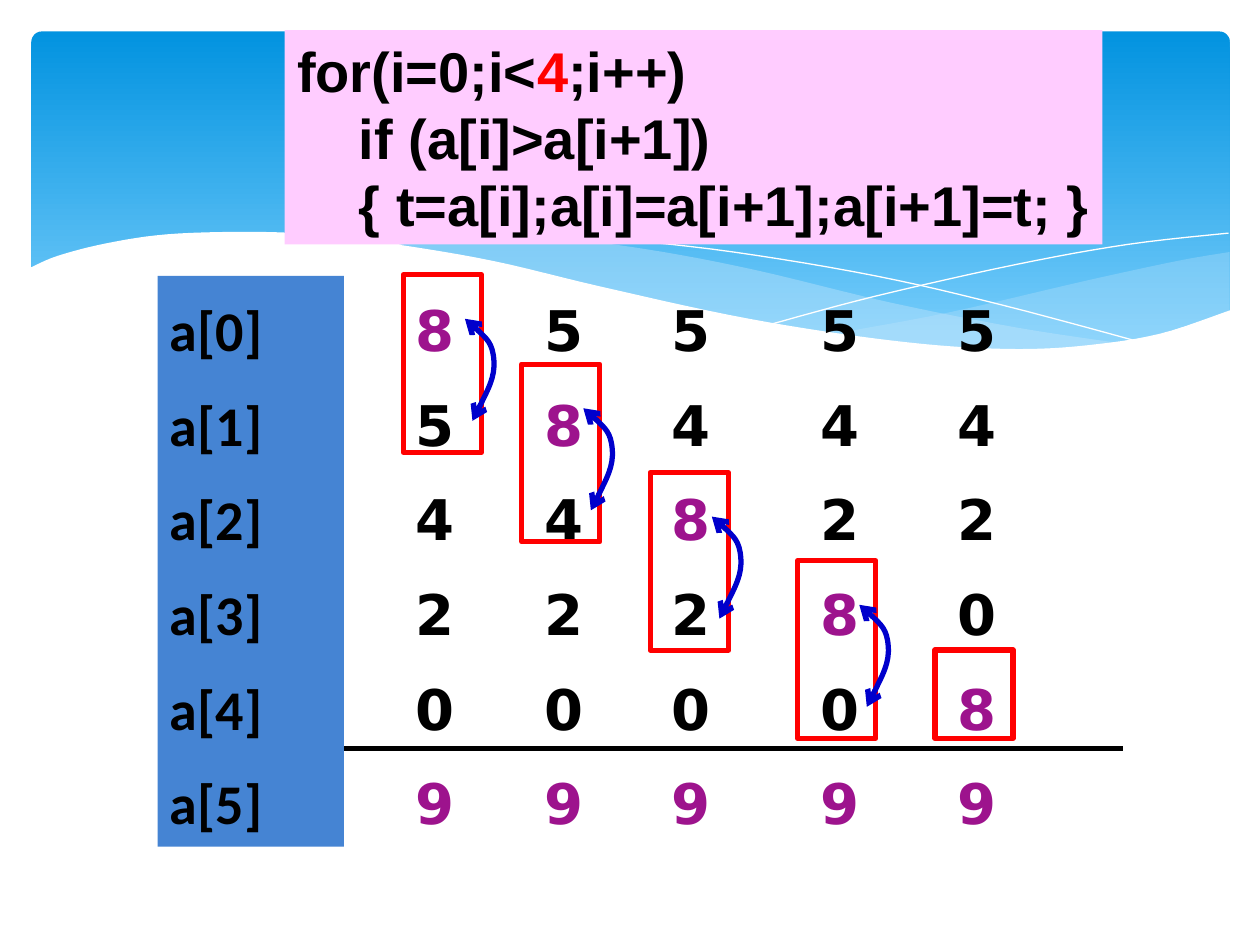
from dataclasses import dataclass
from typing import Any
from lxml.etree import SubElement as Sub
from pptx import Presentation as Deck
from pptx.dml.color import RGBColor as Rgb
from pptx.enum.shapes import MSO_CONNECTOR as Link, MSO_SHAPE as Kind
from pptx.enum.text import MSO_ANCHOR as Anchor, PP_ALIGN as Align
from pptx.oxml.ns import qn
from pptx.util import Inches, Pt

Point = tuple[float, float]
Points = list[Point]


@dataclass(frozen=True)
class Theme:
    top: str = "0293E0"
    base: str = "83D3FE"
    wave: str = "C6E7FC"
    white: str = "FFFFFF"
    ink: str = "000000"
    mark: str = "9D138D"
    red: str = "FF0000"
    arc: str = "0000CC"
    label: str = "4584D3"
    code: str = "FFCCFF"
    size: int = 32
    rule: int = 3
    digit: str = "DejaVu Sans"
    name: str = "Calibri"
    mono: str = "Arial"


@dataclass(frozen=True)
class Step:
    left: float
    box: Point


@dataclass(frozen=True)
class Wave:
    edge: Points
    back: Points
    fill: str | None = None
    alpha: int = 100


T = Theme()
START = "854209"
MARKED = "89"
ROW_TOP, ROW_TALL = 2.19, 4.53
BOX_WIDE, PAIR_TALL, LAST_TALL = 0.62, 1.41, 0.7
ARC_SHIFT = (0.49, 0.35)
ARC = [(0.06, 0.81), (0.15, 0.63), (0.24, 0.46), (0.23, 0.33), (0.22, 0.19), (0.11, 0.09), (0, 0)]
HANG, NEST = 0.38, 0.49
STEPS = [
    Step(3.2, (3.2, 2.18)),
    Step(4.22, (4.14, 2.89)),
    Step(5.23, (5.16, 3.75)),
    Step(6.41, (6.33, 4.45)),
    Step(7.5, (7.42, 5.16)),
]
CODE = [
    (0, [("for(i=0;i<", T.ink), ("4", T.red), (";i++)", T.ink)]),
    (NEST, [("if (a[i]>a[i+1])", T.ink)]),
    (NEST, [("{ t=a[i];a[i]=a[i+1];a[i+1]=t; }", T.ink)]),
]
WAVES = [
    Wave([(9.76, 2), (9.35, 2.07), (8.61, 2.23), (7.53, 2.48), (6.61, 2.65)],
         [(6.61, 2.65), (7.18, 2.73), (7.81, 2.77), (8.44, 2.77), (9.05, 2.69), (9.76, 2.47)],
         T.wave, 29),
    Wave([(8.93, 2.73), (8.07, 2.6), (7.06, 2.4), (5.98, 2.14), (5.14, 1.98), (4.41, 1.89),
          (3.61, 1.85), (2.86, 1.91)],
         [(2.86, 1.91), (3.62, 2.03), (4.49, 2.22), (5.66, 2.48), (6.5, 2.64), (7.36, 2.75),
          (8.18, 2.79), (8.93, 2.73)], T.wave, 40),
    Wave([(3.09, 1.95), (3.53, 1.89), (4.16, 1.87), (4.89, 1.9), (5.82, 2), (6.95, 2.19),
          (7.95, 2.42), (9.07, 2.72)], []),
    Wave([(6.13, 2.57), (6.95, 2.35), (8.06, 2.1), (8.95, 1.94), (9.75, 1.85)], []),
    Wave([(9.77, 2.46), (9.2, 2.65), (8.63, 2.74), (8.09, 2.77), (7.44, 2.74), (6.68, 2.65),
          (5.79, 2.5), (4.75, 2.27), (3.91, 2.07), (3.15, 1.94), (2.5, 1.86), (1.93, 1.84),
          (1.32, 1.86), (0.85, 1.93), (0.46, 2.03), (0.23, 2.13)],
         [(0.23, 3.29), (9.77, 3.29)], T.white),
]


def put(item: Any, **form: Any) -> None:
    for key, value in form.items():
        setattr(item, key, value)


def paint(shape: Any, fill: str | None, line: str | None = None, width: float = 0) -> None:
    shape.shadow.inherit = False
    if fill:
        shape.fill.solid()
        shape.fill.fore_color.rgb = Rgb.from_string(fill)
    else:
        shape.fill.background()
    if line:
        shape.line.color.rgb = Rgb.from_string(line)
        shape.line.width = Pt(width)
    else:
        shape.line.fill.background()


def block(slide: Any, kind: Any, at: tuple, fill: str | None, line: str | None = None) -> Any:
    shape = slide.shapes.add_shape(kind, *map(Inches, at))
    paint(shape, fill, line, T.rule)
    return shape


def blend(prior: float, start: float, end: float, after: float, t: float) -> float:
    slope = end - prior
    bend = 2 * prior - 5 * start + 4 * end - after
    twist = 3 * (start - end) + after - prior
    return start + (slope * t + bend * t ** 2 + twist * t ** 3) / 2


def smooth(knots: Points, cuts: int = 6) -> Points:
    if len(knots) < 3:
        return knots
    ends = [knots[0], *knots, knots[-1]]
    curve = [knots[0]]
    for four in zip(ends, ends[1:], ends[2:], ends[3:]):
        across, down = zip(*four)
        for cut in range(1, cuts + 1):
            t = cut / cuts
            curve.append((blend(*across, t), blend(*down, t)))
    return curve


def trace(slide: Any, points: Points, close: bool) -> Any:
    first, *rest = [(Inches(x), Inches(y)) for x, y in points]
    pen = slide.shapes.build_freeform(*first, scale=1.0)
    pen.add_line_segments(rest, close=close)
    return pen.convert_to_shape()


def ripple(slide: Any, wave: Wave) -> None:
    shape = trace(slide, smooth(wave.edge) + smooth(wave.back), bool(wave.fill))
    paint(shape, wave.fill, None if wave.fill else T.white)
    if wave.alpha < 100:
        tint = shape.fill._xPr.find(".//" + qn("a:srgbClr"))
        Sub(tint, qn("a:alpha"), val=str(wave.alpha * 1000))


def arrow(slide: Any, left: float, top: float) -> None:
    shape = trace(slide, [(left + x, top + y) for x, y in ARC], False)
    paint(shape, None, T.arc, T.rule)
    route = shape._element.find(".//" + qn("a:path"))
    legs = route.findall(qn("a:lnTo"))
    for n in range(0, len(legs), 3):
        bend = Sub(route, qn("a:cubicBezTo"))
        for leg in legs[n:n + 3]:
            bend.append(leg[0])
            route.remove(leg)
    for end in ("headEnd", "tailEnd"):
        Sub(shape.line._get_or_add_ln(), qn("a:" + end), type="arrow")


def write(para: Any, text: str, face: str, color: str) -> None:
    run = para.add_run()
    run.text = text
    put(run.font, name=face, size=Pt(T.size), bold=True)
    run.font.color.rgb = Rgb.from_string(color)


def indent(para: Any, left: float, hang: float = 0) -> None:
    para.alignment = Align.LEFT
    form = para._p.get_or_add_pPr()
    form.set("marL", str(Inches(left)))
    form.set("indent", str(Inches(-hang)))


def lines(frame: Any, count: int) -> list:
    return [frame.paragraphs[0], *(frame.add_paragraph() for _ in range(count - 1))]


def stack(frame: Any, rows: list[tuple[str, str]], face: str) -> None:
    put(frame, word_wrap=True, vertical_anchor=Anchor.TOP)
    for para, (text, color) in zip(lines(frame, len(rows)), rows):
        put(para, line_spacing=1.2, space_before=Pt(8))
        indent(para, HANG, HANG)
        write(para, text, face, color)


def column(slide: Any, step: Step, digits: list[str], last: bool) -> None:
    area = slide.shapes.add_textbox(*map(Inches, (step.left, ROW_TOP, 0.78, ROW_TALL)))
    rows = [(digit, T.mark if digit in MARKED else T.ink) for digit in digits]
    stack(area.text_frame, rows, T.digit)
    left, top = step.box
    tall = LAST_TALL if last else PAIR_TALL
    block(slide, Kind.FLOWCHART_PROCESS, (left, top, BOX_WIDE, tall), None, T.red)
    if not last:
        arrow(slide, left + ARC_SHIFT[0], top + ARC_SHIFT[1])


def passes(slide: Any) -> None:
    digits = list(START)
    for i, step in enumerate(STEPS):
        column(slide, step, digits, step is STEPS[-1])
        if digits[i] > digits[i + 1]:
            digits[i], digits[i + 1] = digits[i + 1], digits[i]


def sky(slide: Any) -> None:
    panel = block(slide, Kind.ROUNDED_RECTANGLE, (0.25, 0.25, 9.51, 2.7), T.top)
    panel.adjustments[0] = 0.03
    panel.fill.gradient()
    panel.fill.gradient_angle = 270
    for stop, color, place in zip(panel.fill.gradient_stops, (T.top, T.base), (0, 1)):
        stop.color.rgb = Rgb.from_string(color)
        stop.position = place
    for wave in WAVES:
        ripple(slide, wave)


def rule(slide: Any) -> None:
    bar = slide.shapes.add_connector(Link.STRAIGHT, *map(Inches, (2.58, 5.94, 8.91, 5.94)))
    bar.line.color.rgb = Rgb.from_string(T.ink)
    bar.line.width = Pt(T.rule)
    Sub(bar._element.spPr, qn("a:effectLst"))


def labels(slide: Any) -> None:
    panel = block(slide, Kind.RECTANGLE, (1.25, ROW_TOP, 1.48, ROW_TALL), T.label)
    stack(panel.text_frame, [(f"a[{n}]", T.ink) for n in range(len(START))], T.name)


def code(slide: Any) -> None:
    frame = block(slide, Kind.RECTANGLE, (2.26, 0.24, 6.49, 1.7), T.code).text_frame
    put(frame, word_wrap=False, vertical_anchor=Anchor.TOP)
    for para, (left, parts) in zip(lines(frame, len(CODE)), CODE):
        indent(para, left)
        for text, color in parts:
            write(para, text, T.mono, color)


def main() -> None:
    deck = Deck()
    put(deck, slide_width=Inches(10), slide_height=Inches(7.5))
    slide = deck.slides.add_slide(deck.slide_layouts[6])
    for draw in (sky, rule, passes, labels, code):
        draw(slide)
    deck.save("out.pptx")


if __name__ == "__main__":
    main()
